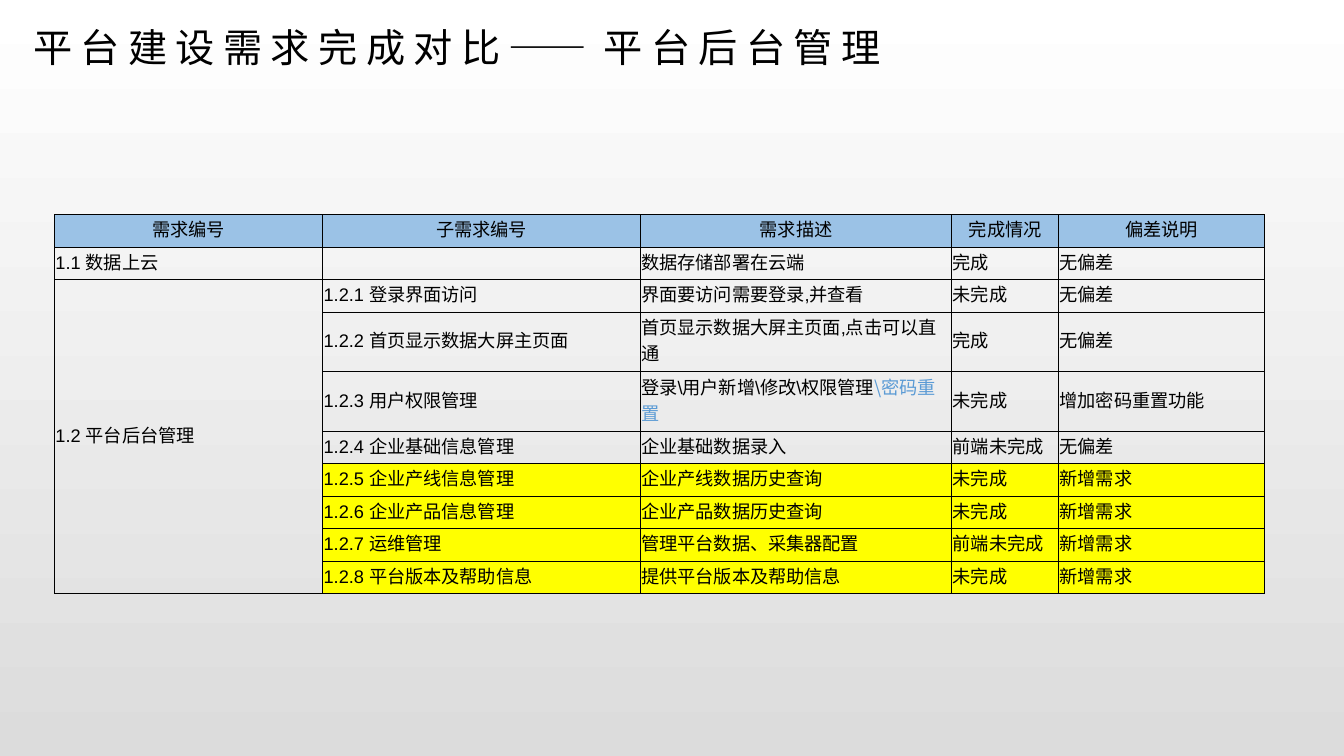
from lxml.etree import SubElement
from pptx import Presentation
from pptx.dml.color import RGBColor
from pptx.enum.text import MSO_ANCHOR, PP_ALIGN
from pptx.oxml.ns import qn
from pptx.util import Inches, Pt

BLACK = RGBColor(0x00, 0x00, 0x00)
WHITE = RGBColor(0xFF, 0xFF, 0xFF)
GREY = RGBColor(0xDC, 0xDC, 0xDC)
HEADER_BLUE = RGBColor(0x9B, 0xC2, 0xE6)
ADDED_BLUE = RGBColor(0x5B, 0x9B, 0xD5)
NEW_YELLOW = RGBColor(0xFF, 0xFF, 0x00)

TITLE = "平台建设需求完成对比——平台后台管理"
HEADERS = ["需求编号", "子需求编号", "需求描述", "完成情况", "偏差说明"]
ADDED_TEXT = "\\密码重置"
NEW_DEMAND = "新增需求"
REQUIREMENTS = [
    ["1.1 数据上云", "", "数据存储部署在云端", "完成", "无偏差"],
    ["1.2 平台后台管理", "1.2.1 登录界面访问", "界面要访问需要登录,并查看", "未完成", "无偏差"],
    ["", "1.2.2 首页显示数据大屏主页面", "首页显示数据大屏主页面,点击可以直通", "完成", "无偏差"],
    ["", "1.2.3 用户权限管理", "登录\\用户新增\\修改\\权限管理", "未完成", "增加密码重置功能"],
    ["", "1.2.4 企业基础信息管理", "企业基础数据录入", "前端未完成", "无偏差"],
    ["", "1.2.5 企业产线信息管理", "企业产线数据历史查询", "未完成", NEW_DEMAND],
    ["", "1.2.6 企业产品信息管理", "企业产品数据历史查询", "未完成", NEW_DEMAND],
    ["", "1.2.7 运维管理", "管理平台数据、采集器配置", "前端未完成", NEW_DEMAND],
    ["", "1.2.8 平台版本及帮助信息", "提供平台版本及帮助信息", "未完成", NEW_DEMAND],
]
COLUMN_WIDTHS = [2.66, 3.15, 3.09, 1.06, 2.04]
TABLE_HEIGHT, TWO_LINE_HEIGHT = 3.76, 0.59
TWO_LINE_ROWS = (3, 4)
GROUP_ROW = 2  # first row of requirement 1.2
ADDED_ROW = 4  # row whose description was extended


def set_font(paragraph, size):
    paragraph.font.size = Pt(size)
    paragraph.font.name = "Arial"
    paragraph.font.color.rgb = BLACK


def paint_background(slide):
    fill = slide.background.fill
    fill.gradient()
    fill.gradient_angle = 270
    for stop, color in zip(fill.gradient_stops, (WHITE, GREY)):
        stop.color.rgb = color


def add_title(slide):
    title = slide.shapes.add_textbox(Inches(0.22), Inches(0.19), Inches(11.87), Inches(0.98))
    frame = title.text_frame
    frame.word_wrap = True
    frame.margin_left, frame.margin_right = Inches(0.11), Inches(0.03)
    frame.margin_top = frame.margin_bottom = Inches(0.04)
    paragraph = frame.paragraphs[0]
    run = paragraph.add_run()
    run.text = TITLE
    set_font(paragraph, 28)
    run.font._element.set("spc", "600")


def add_borders(cell):
    properties = cell._tc.get_or_add_tcPr()
    for side in ("a:lnL", "a:lnR", "a:lnT", "a:lnB"):
        line = SubElement(properties, qn(side), w=str(Pt(0.5)))
        SubElement(SubElement(line, qn("a:solidFill")), qn("a:srgbClr"), val=str(BLACK))


def fill_cell(cell, text, color, align):
    """Write and style one cell; a color of None leaves it transparent."""
    cell.vertical_anchor = MSO_ANCHOR.MIDDLE
    cell.margin_left = cell.margin_right = cell.margin_top = Inches(0.01)
    cell.margin_bottom = Inches(0.05)
    add_borders(cell)
    if color is None:
        cell.fill.background()
    else:
        cell.fill.solid()
        cell.fill.fore_color.rgb = color
    cell.text = text
    paragraph = cell.text_frame.paragraphs[0]
    paragraph.alignment = align
    set_font(paragraph, 13)
    if not text:
        paragraph._p.get_or_add_endParaRPr().set("sz", "1300")


def cell_color(row, column, deviation):
    if row == 0:
        return HEADER_BLUE
    return NEW_YELLOW if deviation == NEW_DEMAND and column > 0 else None


def row_heights(row_count):
    """Share the height left by the two-line rows evenly among the others."""
    rest = TABLE_HEIGHT - TWO_LINE_HEIGHT * len(TWO_LINE_ROWS)
    one_line = rest / (row_count - len(TWO_LINE_ROWS))
    return [TWO_LINE_HEIGHT if r in TWO_LINE_ROWS else one_line for r in range(row_count)]


def add_requirement_table(slide):
    rows = [HEADERS] + REQUIREMENTS
    table = slide.shapes.add_table(
        len(rows), len(HEADERS), Inches(0.54), Inches(2.13),
        Inches(sum(COLUMN_WIDTHS)), Inches(TABLE_HEIGHT),
    ).table
    table.first_row = table.horz_banding = False
    for column, width in zip(table.columns, COLUMN_WIDTHS):
        column.width = Inches(width)
    for row, height in zip(table.rows, row_heights(len(rows))):
        row.height = Inches(height)
    for r, texts in enumerate(rows):
        align = PP_ALIGN.CENTER if r == 0 else PP_ALIGN.LEFT
        for c, text in enumerate(texts):
            fill_cell(table.cell(r, c), text, cell_color(r, c, texts[-1]), align)
    table.cell(GROUP_ROW, 0).merge(table.cell(len(rows) - 1, 0))

    added = table.cell(ADDED_ROW, 2).text_frame.paragraphs[0].add_run()
    added.text = ADDED_TEXT
    added.font.name = "Noto Sans CJK SC"
    added.font.color.rgb = ADDED_BLUE


def main():
    presentation = Presentation()
    presentation.slide_width, presentation.slide_height = Inches(13.33), Inches(7.5)
    slide = presentation.slides.add_slide(presentation.slide_layouts[6])
    paint_background(slide)
    add_title(slide)
    add_requirement_table(slide)
    presentation.save("out.pptx")


if __name__ == "__main__":
    main()
